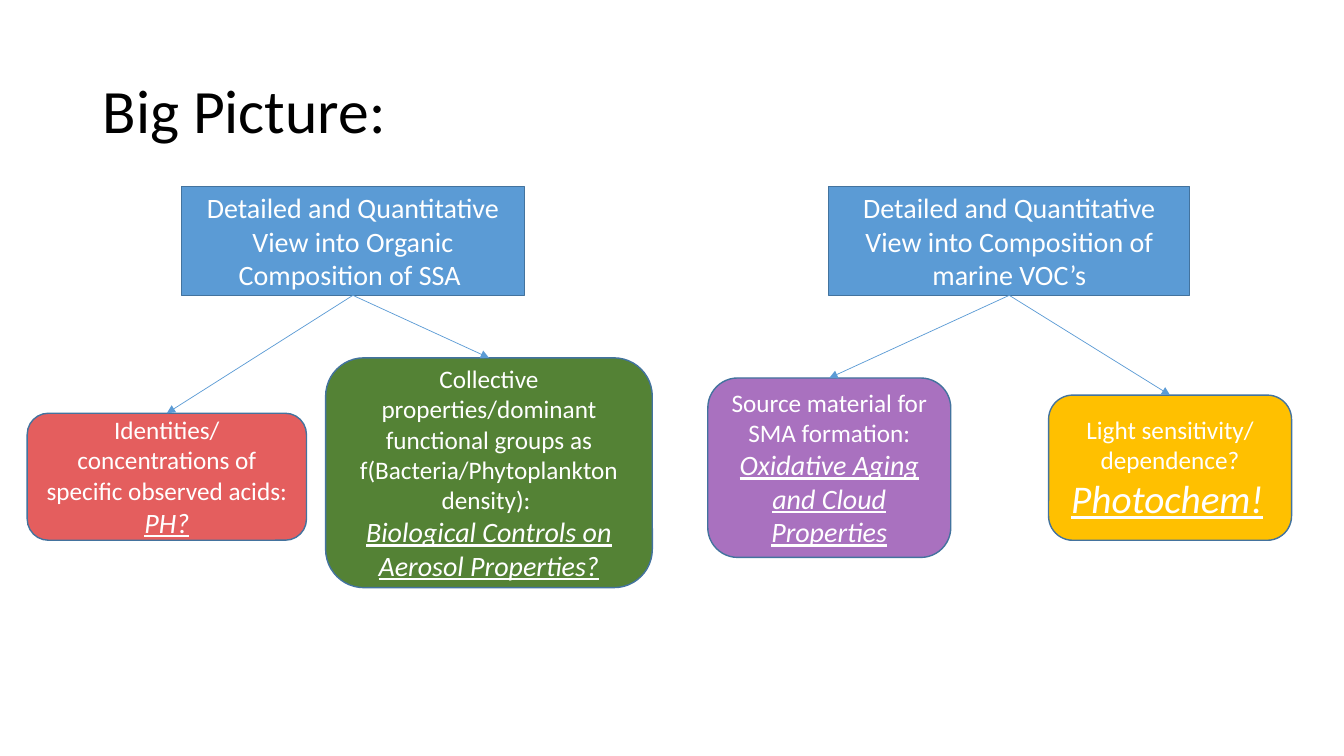
from lxml import etree
from pptx import Presentation
from pptx.dml.color import RGBColor
from pptx.enum import shapes, text
from pptx.oxml import ns
from pptx.util import Inches, Pt

FONT = "Calibri"
BLACK = RGBColor(0x00, 0x00, 0x00)
WHITE = RGBColor(0xFF, 0xFF, 0xFF)
BLUE = RGBColor(0x5B, 0x9B, 0xD5)
OUTLINE = RGBColor(0x43, 0x73, 0x9E)
RED = RGBColor(0xE4, 0x5E, 0x5E)
GREEN = RGBColor(0x54, 0x82, 0x35)
PURPLE = RGBColor(0xA9, 0x71, 0xBF)
GOLD = RGBColor(0xFF, 0xC0, 0x00)

RECT = shapes.MSO_SHAPE.RECTANGLE
ROUNDED = shapes.MSO_SHAPE.ROUNDED_RECTANGLE
TOP, BOTTOM = 0, 2

# Each branch: topic box, topic, then its outcomes as (box, colour, paragraphs).
# A paragraph is a list of (text, size, emphasised) runs.
BRANCHES = [
    ((1.8, 1.85, 3.4, 1.08),
     "Detailed and Quantitative View into Organic Composition of SSA ",
     [((0.27, 4.1, 2.77, 1.26), RED,
       [[("Identities/ concentrations of specific observed acids: ", 18, False),
         ("PH?", 20, True)]]),
      ((3.23, 3.55, 3.24, 2.28), GREEN,
       [[("Collective properties/dominant functional groups as "
          "f(Bacteria/Phytoplankton density): ", 18, False)],
        [("Biological Controls on Aerosol Properties?", 20, True)]])]),
    ((8.22, 1.85, 3.58, 1.08),
     "Detailed and Quantitative View into Composition of marine VOC’s",
     [((7.02, 3.75, 2.41, 1.78), PURPLE,
       [[("Source material for SMA formation:", 18, False)],
        [("Oxidative Aging and Cloud Properties", 20, True)]]),
      ((10.4, 3.92, 2.41, 1.44), GOLD,
       [[("Light sensitivity/ dependence? ", 18, False),
         ("Photochem!", 28, True),
         (" ", 18, False)]])]),
]


def add_run(p, words, size, color, emphasised=False):
    r = p.add_run()
    r.text = words
    r.font.name = FONT
    r.font.size = Pt(size)
    r.font.color.rgb = color
    if emphasised:
        r.font.italic = r.font.underline = True


def add_title(slide, box, title):
    tf = slide.shapes.add_textbox(*map(Inches, box)).text_frame
    tf.word_wrap = True
    tf.vertical_anchor = text.MSO_ANCHOR.MIDDLE
    p = tf.paragraphs[0]
    p.line_spacing = 0.9
    add_run(p, title, 44, BLACK)


def add_node(slide, kind, box, fill, paragraphs):
    sp = slide.shapes.add_shape(kind, *map(Inches, box))
    sp.shadow.inherit = False
    sp.fill.solid()
    sp.fill.fore_color.rgb = fill
    sp.line.color.rgb = OUTLINE
    sp.line.width = Pt(1)
    tf = sp.text_frame
    tf.word_wrap = True
    tf.vertical_anchor = text.MSO_ANCHOR.MIDDLE
    for i, runs in enumerate(paragraphs):
        p = tf.add_paragraph() if i else tf.paragraphs[0]
        p.alignment = text.PP_ALIGN.CENTER
        for words, size, emphasised in runs:
            add_run(p, words, size, WHITE, emphasised)
    return sp


def add_arrow(slide, parent, child):
    line = slide.shapes.add_connector(shapes.MSO_CONNECTOR.STRAIGHT, 0, 0, 0, 0)
    line.begin_connect(parent, BOTTOM)
    line.end_connect(child, TOP)
    line.line.color.rgb = BLUE
    line.line.width = Pt(0.5)
    etree.SubElement(line.line._get_or_add_ln(), ns.qn("a:tailEnd"), type="triangle")
    etree.SubElement(line._element.spPr, ns.qn("a:effectLst"))


def add_branch(slide, box, topic, outcomes):
    """Place a topic with arrows down to its outcomes."""
    parent = add_node(slide, RECT, box, BLUE, [[(topic, 20, False)]])
    for child_box, color, paragraphs in outcomes:
        child = add_node(slide, ROUNDED, child_box, color, paragraphs)
        add_arrow(slide, parent, child)


def main():
    prs = Presentation()
    prs.slide_width, prs.slide_height = Inches(13.33), Inches(7.5)
    slide = prs.slides.add_slide(prs.slide_layouts[6])
    add_title(slide, (0.92, 0.4, 11.5, 1.45), "Big Picture:")
    for branch in BRANCHES:
        add_branch(slide, *branch)
    prs.save("out.pptx")


if __name__ == "__main__":
    main()
